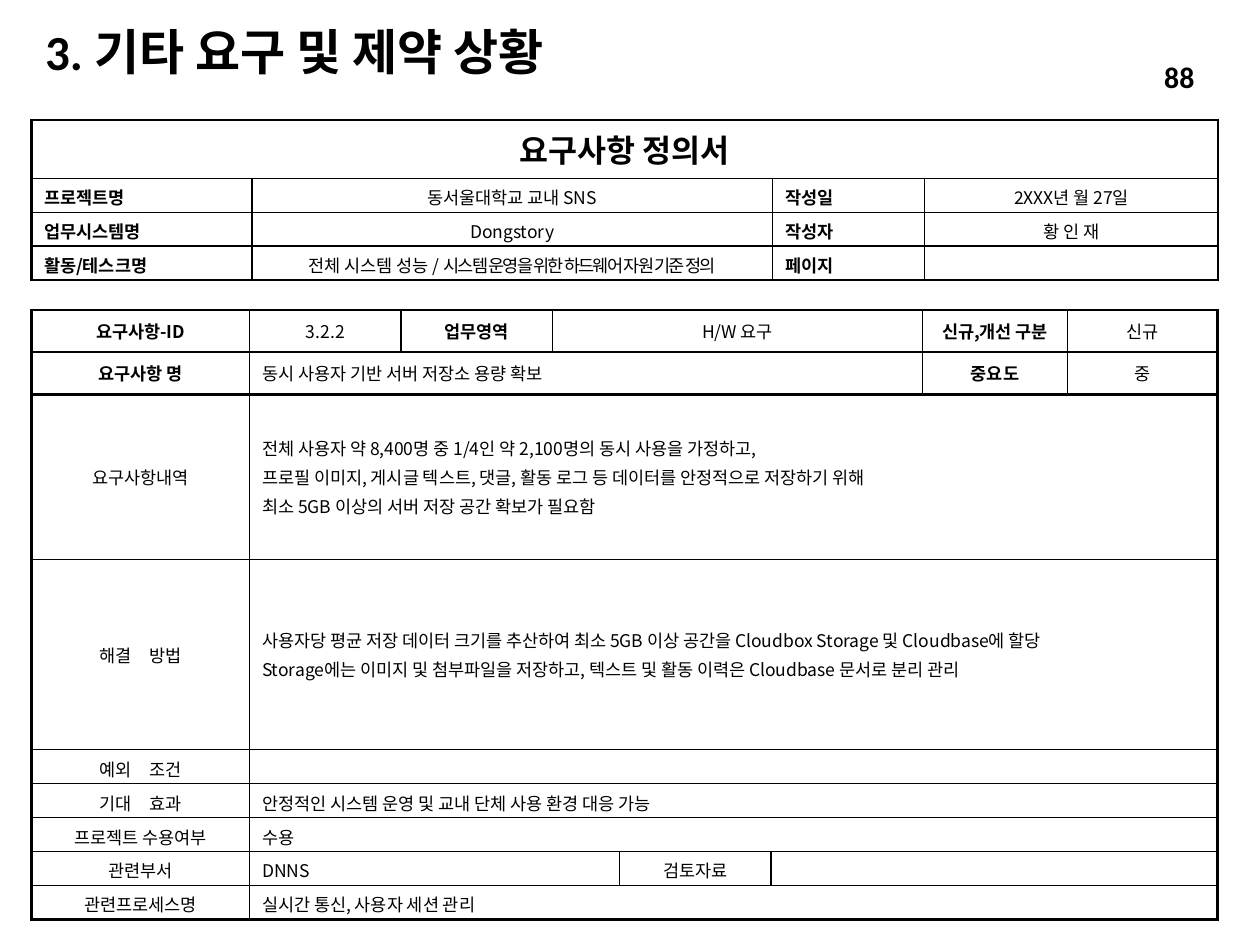
from dataclasses import dataclass

from lxml.etree import SubElement
from pptx import Presentation
from pptx.dml.color import RGBColor
from pptx.enum.text import MSO_ANCHOR as Anchor, PP_ALIGN as Align
from pptx.oxml.ns import qn
from pptx.util import Pt

COLORS = {"ink": "000000"}
BODY_FONT = "Noto Sans CJK KR"
HEADING_FONT = "Calibri"
PLAIN_STYLE = "{2D5ABB26-0587-4C30-8999-92F81FD0307C}"
THICK, THIN = 1.5, 1
WORD_GAP = 8


@dataclass(frozen=True)
class Span:
    text: str
    spacing: float = 0


@dataclass(frozen=True)
class Entry:
    lines: tuple = ()
    width: int = 1
    bold: bool = False
    align: Align = Align.CENTER
    size: float = 10
    anchor: Anchor = Anchor.MIDDLE


@dataclass(frozen=True)
class Grid:
    left: float
    top: float
    columns: tuple
    heights: tuple
    rows: tuple
    thick_below: tuple


def label(text: str, **extra) -> Entry:
    return Entry(((Span(text),),), bold=True, **extra)


def value(*texts: str, **extra) -> Entry:
    return Entry(tuple((Span(text),) for text in texts), **extra)


def note(*texts: str, width: int = 7) -> Entry:
    return value(*texts, width=width, align=Align.LEFT)


def split_label(first: str, second: str) -> Entry:
    return Entry(((Span(first), Span(" ", WORD_GAP), Span(second)),))


def field(text: str) -> Entry:
    return label(text, align=Align.JUSTIFY, anchor=Anchor.TOP)


def answer(*spans: Span) -> Entry:
    return Entry((spans,) if spans else (), anchor=Anchor.TOP)


def add_span(para, text: str, *, size: float, bold: bool = False,
             font: str = BODY_FONT, spacing: float = 0) -> None:
    span = para.add_run()
    span.text = text
    span.font.size = Pt(size)
    span.font.bold = bold
    span.font.color.rgb = RGBColor.from_string(COLORS["ink"])
    span.font.name = font
    properties = span.font._element
    SubElement(properties, qn("a:ea")).set("typeface", BODY_FONT)
    if spacing:
        properties.set("spc", str(round(spacing * 100)))


def add_heading(page, text: str, frame: tuple, *, size: float,
                align: Align, line_spacing: float = 1.0) -> None:
    box = page.shapes.add_textbox(*(Pt(length) for length in frame))
    box.text_frame.word_wrap = True
    box.text_frame.vertical_anchor = Anchor.MIDDLE
    para = box.text_frame.paragraphs[0]
    para.alignment = align
    para.line_spacing = line_spacing
    add_span(para, text, size=size, bold=True, font=HEADING_FONT)


def set_borders(cell, edges: dict) -> None:
    properties = cell._tc.get_or_add_tcPr()
    for side, weight in edges.items():
        line = SubElement(properties, qn(f"a:ln{side}"), w=str(Pt(weight)))
        fill = SubElement(line, qn("a:solidFill"))
        SubElement(fill, qn("a:srgbClr"), val=COLORS["ink"])
    cell.fill.background()


def fill_cell(cell, entry: Entry) -> None:
    cell.vertical_anchor = entry.anchor
    cell.margin_left = cell.margin_right = Pt(7.2)
    cell.margin_top = cell.margin_bottom = Pt(3.6)
    frame = cell.text_frame
    if not entry.lines:
        SubElement(frame.paragraphs[0]._p, qn("a:endParaRPr"), sz="1000")
    for index, spans in enumerate(entry.lines):
        para = frame.add_paragraph() if index else frame.paragraphs[0]
        para.alignment = entry.align
        if index:
            para.space_before = Pt(entry.size * 0.2)
        for span in spans:
            add_span(para, span.text, size=entry.size, bold=entry.bold,
                     spacing=span.spacing)


def add_grid(page, grid: Grid) -> None:
    row_count, column_count = len(grid.heights), len(grid.columns)
    table = page.shapes.add_table(
        row_count, column_count, Pt(grid.left), Pt(grid.top),
        Pt(sum(grid.columns)), Pt(sum(grid.heights))).table
    table.first_row = table.horz_banding = False
    table._tbl.tblPr.find(qn("a:tableStyleId")).text = PLAIN_STYLE
    for column, width in zip(table.columns, grid.columns):
        column.width = Pt(width)
    for row, height in zip(table.rows, grid.heights):
        row.height = Pt(height)
    thick_lines = {0, row_count, *grid.thick_below}
    for row, entries in enumerate(grid.rows):
        start = 0
        for entry in entries:
            end = start + entry.width
            for column in range(start, end):
                edges = {}
                if column == start:
                    edges["L"] = THIN if column else THICK
                if column == start or column == end - 1:
                    edges["R"] = THICK if end == column_count else THIN
                edges["T"] = THICK if row in thick_lines else THIN
                edges["B"] = THICK if row + 1 in thick_lines else THIN
                cell = table.cell(row, column)
                set_borders(cell, edges)
                fill_cell(cell, entry if column == start else Entry())
            if entry.width > 1:
                table.cell(row, start).merge(table.cell(row, end - 1))
            start = end


DETAILS = Grid(
    18, 177.1, (124.6, 86.6, 86.6, 38.2, 86.6, 86.6, 82.8, 85.7),
    (24.2, 24.2, 94.3, 108.7) + (19.4,) * 5,
    (
        (label("요구사항-ID"), value("3.2.2"), label("업무영역"),
         value("H/W 요구", width=3), label("신규,개선 구분"), value("신규")),
        (label("요구사항 명"), note("동시 사용자 기반 서버 저장소 용량 확보", width=5),
         label("중요도"), value("중")),
        (value("요구사항내역"), note(
            "전체 사용자 약 8,400명 중 1/4인 약 2,100명의 동시 사용을 가정하고,",
            "프로필 이미지, 게시글 텍스트, 댓글, 활동 로그 등 데이터를 안정적으로 저장하기 위해",
            "최소 5GB 이상의 서버 저장 공간 확보가 필요함")),
        (split_label("해결", "방법"), note(
            "사용자당 평균 저장 데이터 크기를 추산하여 최소 5GB 이상 공간을 Cloudbox Storage 및 Cloudbase에 할당",
            "Storage에는 이미지 및 첨부파일을 저장하고, 텍스트 및 활동 이력은 Cloudbase 문서로 분리 관리")),
        (split_label("예외", "조건"), note()),
        (split_label("기대", "효과"), note("안정적인 시스템 운영 및 교내 단체 사용 환경 대응 가능")),
        (value("프로젝트 수용여부"), note("수용")),
        (value("관련부서"), note("DNNS", width=3), value("검토자료"), note(width=3)),
        (value("관련프로세스명"), note("실시간 통신, 사용자 세션 관리")),
    ),
    (1, 2))

SUMMARY = Grid(
    18, 68.5, (126, 297.4, 87, 167.8), (33.4,) + (19.4,) * 3,
    (
        (label("요구사항 정의서", width=4, size=18),),
        (field("프로젝트명"), answer(Span("동서울대학교 교내 SNS")),
         field("작성일"), answer(Span("2XXX년 월 27일"))),
        (field("업무시스템명"), answer(Span("Dongstory")),
         field("작성자"), answer(Span("황 인 재"))),
        (field("활동/테스크명"),
         answer(Span("전체 시스템 성능 / "),
                Span("시스템 운영을 위한 하드웨어 자원 기준 정의", -1)),
         field("페이지"), answer()),
    ),
    ())


def main() -> None:
    deck = Presentation()
    deck.slide_width, deck.slide_height = Pt(720), Pt(540)
    page = deck.slides.add_slide(deck.slide_layouts[6])
    add_heading(page, "3. 기타 요구 및 제약 상황", (18.7, 15.1, 386, 31.7),
                size=28, align=Align.LEFT, line_spacing=0.9)
    for grid in (DETAILS, SUMMARY):
        add_grid(page, grid)
    add_heading(page, "88", (573, 29.5, 116.6, 28.8), size=17, align=Align.RIGHT)
    deck.save("out.pptx")


if __name__ == "__main__":
    main()
